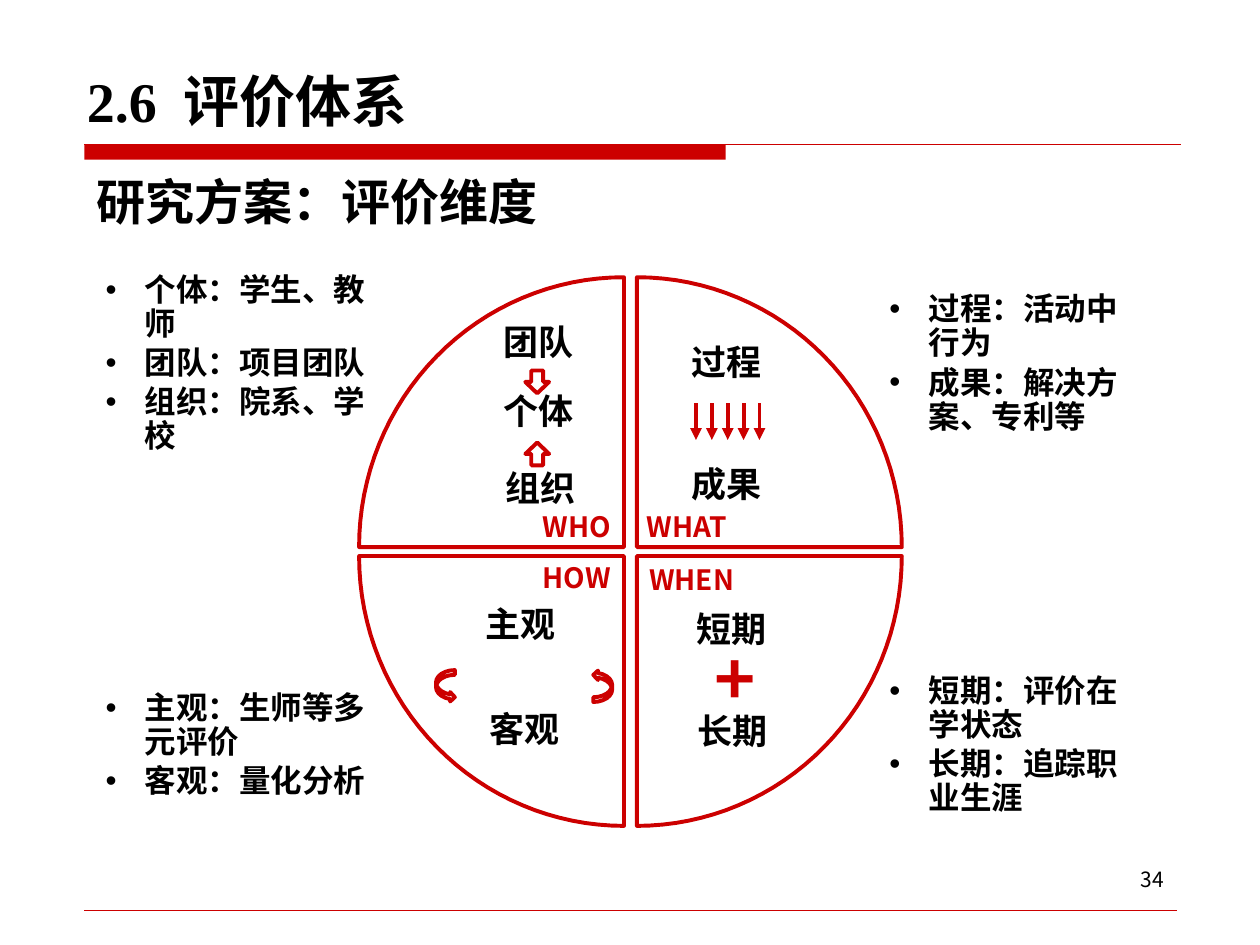
from dataclasses import dataclass
from math import cos, pi, sin

from lxml import etree
from pptx import Presentation
from pptx.dml.color import RGBColor
from pptx.enum.shapes import MSO_CONNECTOR, MSO_SHAPE
from pptx.enum.text import MSO_ANCHOR, PP_ALIGN
from pptx.oxml.ns import qn
from pptx.util import Cm, Pt


@dataclass(frozen=True)
class Theme:
    red: RGBColor = RGBColor(0xCC, 0, 0)
    black: RGBColor = RGBColor(0, 0, 0)
    white: RGBColor = RGBColor(255, 255, 255)
    cjk: str = "Noto Sans CJK SC"
    serif: str = "Times New Roman"
    title: int = 32
    subtitle: int = 28
    word: int = 20
    bullet: int = 18
    tag: int = 16
    page: int = 12
    plus: int = 40
    outline: float = 2.25


THEME = Theme()
LEFT, CENTER, RIGHT = PP_ALIGN.LEFT, PP_ALIGN.CENTER, PP_ALIGN.RIGHT


# Shared drawing helpers
def style_paragraph(paragraph, size, color=THEME.black, bold=True, align=LEFT):
    paragraph.alignment = align
    font = paragraph.font
    font.size, font.bold, font.name = Pt(size), bold, THEME.cjk
    font.color.rgb = color
    properties = paragraph._p.get_or_add_pPr().find(qn("a:defRPr"))
    etree.SubElement(properties, qn("a:ea"), typeface=THEME.cjk)


def add_text(slide, text, box, size, color=THEME.black, bold=True, align=LEFT):
    frame = slide.shapes.add_textbox(*map(Cm, box)).text_frame
    frame.word_wrap = True
    paragraph = frame.paragraphs[0]
    paragraph.text = text
    style_paragraph(paragraph, size, color, bold, align)
    return frame


def add_line(slide, start, end, width, arrow=False):
    line = slide.shapes.add_connector(
        MSO_CONNECTOR.STRAIGHT, *map(Cm, (*start, *end)))
    line.line.color.rgb = THEME.red
    line.line.width = Pt(width)
    if arrow:
        etree.SubElement(line.line._get_or_add_ln(), qn("a:tailEnd"), type="triangle")
    etree.SubElement(line._element.spPr, qn("a:effectLst"))


def outline_red(shape):
    shape.shadow.inherit = False
    shape.line.color.rgb = THEME.red
    shape.line.width = Pt(THEME.outline)


def add_block_arrow(slide, kind, box, rotation=0):
    arrow = slide.shapes.add_shape(kind, *map(Cm, box))
    outline_red(arrow)
    arrow.fill.background()
    arrow.rotation = rotation


def add_word(slide, text, x, y, width, align=CENTER):
    add_text(slide, text, (x, y, width, 1.12), THEME.word, align=align)


def add_tag(slide, text, x, y, width):
    add_text(slide, text, (x, y, width, 0.94), THEME.tag, THEME.red)


# Title, rule and subtitle
def draw_header(slide, x, y, width):
    frame = add_text(slide, "2.6", (x - 0.2, y - 2.59, 22.23, 2.49), THEME.title)
    frame.vertical_anchor = MSO_ANCHOR.BOTTOM
    heading = frame.paragraphs[0]
    heading.runs[0].font.name = THEME.serif
    gap = heading.add_run()
    gap.text = " "
    gap.font._element.set("spc", "800")
    heading.add_run().text = "评价体系"

    bar = slide.shapes.add_shape(
        MSO_SHAPE.RECTANGLE, Cm(x), Cm(y), Cm(12.93), Cm(0.3))
    bar.shadow.inherit = False
    bar.fill.solid()
    bar.fill.fore_color.rgb = THEME.red
    bar.line.fill.background()
    add_line(slide, (x, y), (x + width, y), 0.75)
    add_text(slide, "研究方案：评价维度", (x, y + 0.41, 14.2, 1.45), THEME.subtitle)


# Page number above the bottom rule
def draw_footer(slide, x, y, width):
    add_line(slide, (x, y), (x + width, y), 0.25)
    add_text(slide, "34", (x + width - 5.51, y - 0.99, 5.51, 1.32),
             THEME.page, bold=False, align=RIGHT)


# Bulleted explanation beside one quadrant
def draw_notes(slide, box, inset_left, inset_right, items):
    panel = slide.shapes.add_shape(MSO_SHAPE.ROUNDED_RECTANGLE, *map(Cm, box))
    panel.adjustments[0] = 0.1
    panel.shadow.inherit = False
    panel.fill.solid()
    panel.fill.fore_color.rgb = THEME.white
    panel.line.color.rgb = THEME.white
    frame = panel.text_frame
    frame.word_wrap = True
    frame.vertical_anchor = MSO_ANCHOR.MIDDLE
    frame.margin_left, frame.margin_right = Cm(inset_left), Cm(inset_right)
    frame.margin_top = frame.margin_bottom = Cm(0.48)
    for index, item in enumerate(items):
        paragraph = frame.add_paragraph() if index else frame.paragraphs[0]
        paragraph.text = item
        paragraph.line_spacing = 0.9
        paragraph.space_after = Pt(3)
        properties = paragraph._p.get_or_add_pPr()
        properties.set("marL", str(Cm(0.79)))
        properties.set("indent", str(-Cm(0.79)))
        etree.SubElement(properties, qn("a:buFont"), typeface="Arial")
        etree.SubElement(properties, qn("a:buChar"), char="•")
        style_paragraph(paragraph, THEME.bullet)


# Quarter disc; the side signs point from the wheel's centre outwards
def draw_quadrant(slide, box, side_x, side_y, steps=32):
    x, y, width, height = box
    corner_x = x + width * (side_x < 0)
    corner_y = y + height * (side_y < 0)
    angles = [step * pi / 2 / steps for step in range(steps + 1)]
    rim = [(Cm(corner_x + side_x * width * cos(angle)),
            Cm(corner_y + side_y * height * sin(angle))) for angle in angles]
    builder = slide.shapes.build_freeform(Cm(corner_x), Cm(corner_y))
    builder.add_line_segments(rim, close=True)
    quadrant = builder.convert_to_shape()
    outline_red(quadrant)
    quadrant.fill.solid()
    quadrant.fill.fore_color.rgb = THEME.white


# Contents of the four quadrants
def draw_who(slide, x, y):
    add_word(slide, "团队", x + 2.67, y + 0.74, 3.18, LEFT)
    add_word(slide, "个体", x + 1.37, y + 2.13, 4.5)
    add_word(slide, "组织", x + 1.04, y + 3.68, 5.23)
    for top, rotation in ((1.88, 0), (3.33, 180)):
        add_block_arrow(slide, MSO_SHAPE.DOWN_ARROW,
                        (x + 3.35, y + top, 0.48, 0.46), rotation)
    add_tag(slide, "WHO", x + 3.45, y + 4.55, 2.64)


def draw_what(slide, x, y):
    add_word(slide, "过程", x + 0.86, y + 1.14, 4.32, LEFT)
    add_word(slide, "成果", x + 0.86, y + 3.61, 4.32, LEFT)
    for index in range(5):
        arrow_x = x + 1.19 + 0.32 * index
        add_line(slide, (arrow_x, y + 2.54), (arrow_x, y + 3.28),
                 THEME.outline, arrow=True)
    add_tag(slide, "WHAT", x - 0.05, y + 4.55, 2.34)


def draw_how(slide, x, y):
    add_word(slide, "主观", x + 1.26, y + 0.81, 3.99)
    add_word(slide, "客观", x + 1.75, y + 2.92, 3.18)
    for left, rotation in ((1.55, 0), (4.72, 180)):
        add_block_arrow(slide, MSO_SHAPE.CURVED_RIGHT_ARROW,
                        (x + left, y + 2.3, 0.38, 0.64), rotation)
    add_tag(slide, "HOW", x + 3.45, y - 0.03, 2.08)


def draw_when(slide, x, y):
    add_word(slide, "短期", x - 0.64, y + 0.91, 5.11)
    add_word(slide, "长期", x + 0.97, y + 2.97, 5.11, LEFT)
    add_text(slide, "+", (x + 1.32, y + 1.47, 1.4, 1.96), THEME.plus, THEME.red)
    add_tag(slide, "WHEN", x, y, 2.69)


# Wheel of four quadrants
def draw_wheel(slide, x, y, width, height):
    quarter_width, quarter_height = (width - 0.26) / 2, (height - 0.18) / 2
    right, bottom = x + width - quarter_width, y + height - quarter_height
    for left, top, side_x, side_y, draw_content in (
            (x, y, -1, -1, draw_who), (right, y, 1, -1, draw_what),
            (right, bottom, 1, 1, draw_when), (x, bottom, -1, 1, draw_how)):
        draw_quadrant(slide, (left, top, quarter_width, quarter_height), side_x, side_y)
        draw_content(slide, left, top)


def main():
    deck = Presentation()
    deck.slide_width, deck.slide_height = Cm(25.4), Cm(19.05)
    slide = deck.slides.add_slide(deck.slide_layouts[6])
    draw_header(slide, 1.7, 2.92, 22.1)
    draw_footer(slide, 1.7, 18.34, 22.02)

    upper, lower, height = 4.93, 12.62, 4.83
    left_notes, right_notes = (1.5, 7.8, 0.49, 1.26), (15.09, 8.61, 2.7, 0.49)
    for (x, width, inset_left, inset_right), y, items in (
            (right_notes, lower, ("短期：评价在学状态", "长期：追踪职业生涯")),
            (left_notes, lower, ("主观：生师等多元评价", "客观：量化分析")),
            (right_notes, upper, ("过程：活动中行为", "成果：解决方案、专利等")),
            (left_notes, upper, ("个体：学生、教师", "团队：项目团队", "组织：院系、学校"))):
        draw_notes(slide, (x, y, width, height), inset_left, inset_right, items)

    draw_wheel(slide, 7.24, 5.59, 10.94, 11.06)
    deck.save("out.pptx")


if __name__ == "__main__":
    main()
